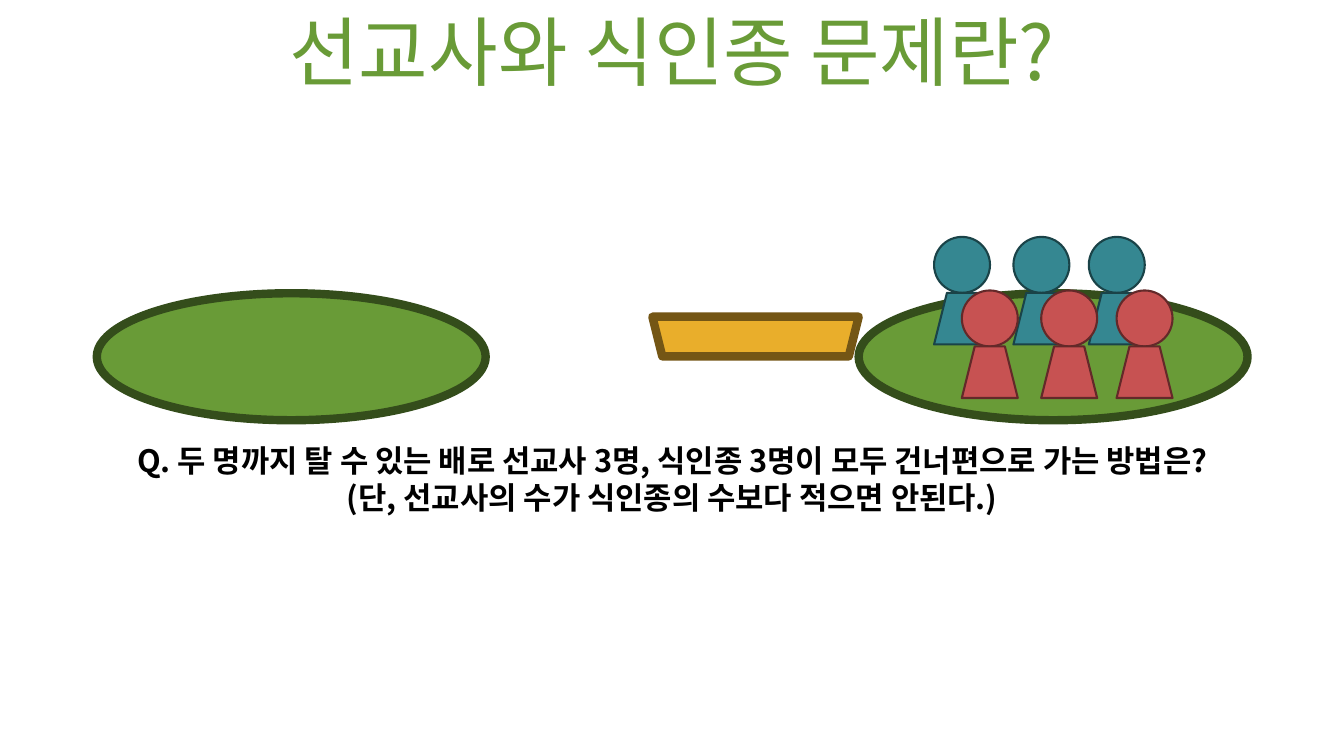
from lxml import etree
from pptx import Presentation
from pptx.dml.color import RGBColor
from pptx.enum.shapes import MSO_SHAPE
from pptx.enum.text import MSO_ANCHOR, MSO_AUTO_SIZE, PP_ALIGN
from pptx.oxml.ns import qn
from pptx.util import Cm, Pt

ELLIPSE, TRAPEZOID = MSO_SHAPE.OVAL, MSO_SHAPE.TRAPEZOID
CENTER, TOP = PP_ALIGN.CENTER, MSO_ANCHOR.TOP
FIT_SHAPE = MSO_AUTO_SIZE.SHAPE_TO_FIT_TEXT
TITLE_ONLY = 5

PAGE_WIDTH, PAGE_HEIGHT = 33.87, 19.05
ISLAND_TOP, ISLAND_WIDTH, ISLAND_HEIGHT = 7.39, 9.8, 3.2
LEFT_ISLAND, RIGHT_ISLAND = 2.44, 21.64
BOAT_WIDTH = 5.2
HEAD_SIZE, BODY_HEIGHT = 1.41, 1.3
MISSIONARY_LEFTS = (23.54, 25.54, 27.44)
MISSIONARY_TOP = 5.97
CANNIBAL_SHIFT, CANNIBAL_DROP = 0.7, 1.35


def color(value):
    return RGBColor.from_string(value)


class SlidePainter:
    font_name = "Noto Sans CJK KR"
    green, dark_green = "699B37", "344D1B"
    yellow, brown = "E9AE2B", "745615"
    teal, dark_teal = "358791", "1A4348"
    red, dark_red = "C75252", "632929"
    black = "000000"

    def __init__(self, page):
        self.page = page

    def shape(self, kind, left, top, width, height, fill, line, weight):
        shape = self.page.shapes.add_shape(kind, Cm(left), Cm(top), Cm(width), Cm(height))
        shape.shadow.inherit = False
        shape.fill.solid()
        shape.fill.fore_color.rgb = color(fill)
        shape.line.color.rgb = color(line)
        shape.line.width = Pt(weight)
        return shape

    def island(self, left):
        self.shape(ELLIPSE, left, ISLAND_TOP, ISLAND_WIDTH, ISLAND_HEIGHT,
                   self.green, self.dark_green, 6)

    def boat(self, left, top):
        boat = self.shape(TRAPEZOID, left, top, BOAT_WIDTH, 1, self.yellow, self.brown, 6)
        boat.rotation = 180

    def person(self, left, top, fill, line):
        self.shape(ELLIPSE, left, top, HEAD_SIZE, HEAD_SIZE, fill, line, 1.5)
        self.shape(TRAPEZOID, left, top + HEAD_SIZE, HEAD_SIZE, BODY_HEIGHT, fill, line, 1.5)

    def set_text(self, box, lines, size, ink, bold):
        frame = box.text_frame
        frame.word_wrap = True
        frame.auto_size = FIT_SHAPE
        frame.vertical_anchor = TOP
        frame.text = "\n".join(lines)
        for para in frame.paragraphs:
            para.alignment = CENTER
            font = para.font
            font.name, font.size, font.bold = self.font_name, Pt(size), bold
            font.color.rgb = color(ink)
            defaults = para._p.pPr.find(qn("a:defRPr"))
            latin = defaults.find(qn("a:latin"))
            east_asian = etree.Element(qn("a:ea"), typeface=self.font_name)
            latin.addnext(east_asian)

    def title(self, text):
        box = self.page.shapes.title
        box.left, box.top, box.width, box.height = Cm(0), Cm(0), Cm(PAGE_WIDTH), Cm(2.51)
        self.set_text(box, [text], 54, self.green, False)

    def question(self, left, top, width, height, lines):
        box = self.page.shapes.add_textbox(Cm(left), Cm(top), Cm(width), Cm(height))
        self.set_text(box, lines, 22, self.black, True)


deck = Presentation()
deck.slide_width, deck.slide_height = Cm(PAGE_WIDTH), Cm(PAGE_HEIGHT)
painter = SlidePainter(deck.slides.add_slide(deck.slide_layouts[TITLE_ONLY]))

painter.title("선교사와 식인종 문제란?")
for island_left in (LEFT_ISLAND, RIGHT_ISLAND):
    painter.island(island_left)
painter.boat(RIGHT_ISLAND - BOAT_WIDTH, 7.98)
for person_left in MISSIONARY_LEFTS:
    painter.person(person_left, MISSIONARY_TOP, painter.teal, painter.dark_teal)
for person_left in MISSIONARY_LEFTS:
    painter.person(person_left + CANNIBAL_SHIFT, MISSIONARY_TOP + CANNIBAL_DROP,
                   painter.red, painter.dark_red)
painter.question(LEFT_ISLAND, 11, RIGHT_ISLAND + ISLAND_WIDTH - LEFT_ISLAND, 2.11, [
    "Q. 두 명까지 탈 수 있는 배로 선교사 3명, 식인종 3명이 모두 건너편으로 가는 방법은?",
    "(단, 선교사의 수가 식인종의 수보다 적으면 안된다.)",
])

deck.save("out.pptx")
